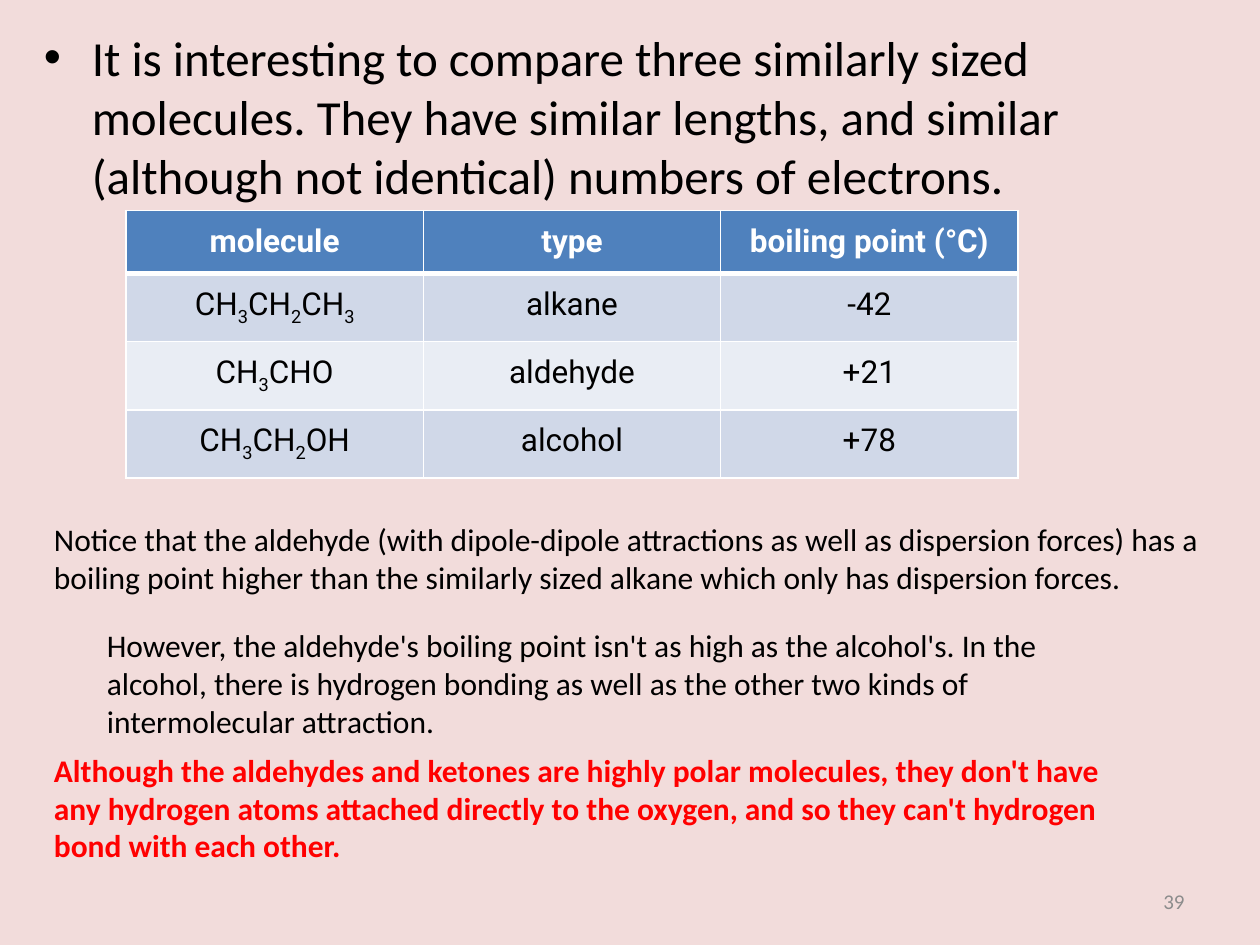
"""Build a slide comparing the boiling points of three similarly sized molecules."""
from dataclasses import dataclass
from itertools import groupby

from pptx import Presentation, util as u
from pptx.dml.color import RGBColor
from pptx.enum import text
from pptx.oxml import parse_xml
from pptx.oxml.ns import nsdecls

BLACK = RGBColor(0x00, 0x00, 0x00)
WHITE = RGBColor(0xFF, 0xFF, 0xFF)
RED = RGBColor(0xFF, 0x00, 0x00)
GREY = RGBColor(0x8C, 0x8C, 0x8C)
PINK = RGBColor(0xF2, 0xDC, 0xDB)
HEADER_BLUE = RGBColor(0x4F, 0x81, 0xBD)
BANDS = (RGBColor(0xE9, 0xED, 0xF4), RGBColor(0xD0, 0xD8, 0xE8))

ROWS = (
    ("molecule", "type", "boiling point (°C)"),
    ("CH3CH2CH3", "alkane", "-42"),
    ("CH3CHO", "aldehyde", "+21"),
    ("CH3CH2OH", "alcohol", "+78"),
)
COLUMN_WIDTH = 2.36
HEADER_HEIGHT = 0.5
ROW_HEIGHT = 0.53


@dataclass(frozen=True)
class Note:
    """A block of text with its place and look."""

    words: str
    left: float
    top: float
    width: float
    height: float
    size: int = 18
    color: RGBColor = BLACK
    bold: bool = False
    bullet: bool = False
    align: text.PP_ALIGN = text.PP_ALIGN.LEFT
    anchor: text.MSO_ANCHOR = text.MSO_ANCHOR.TOP


INTRO = Note(
    "It is interesting to compare three similarly sized molecules. They have similar lengths, "
    "and similar (although not identical) numbers of electrons.",
    0.25, 0.17, 9.25, 6.53, size=28, bullet=True,
)
REMARKS = (
    Note(
        "Notice that the aldehyde (with dipole-dipole attractions as well as dispersion forces) "
        "has a boiling point higher than the similarly sized alkane which only has dispersion forces.",
        0.33, 4.08, 9.42, 0.71,
    ),
    Note(
        "However, the aldehyde's boiling point isn't as high as the alcohol's. In the alcohol, "
        "there is hydrogen bonding as well as the other two kinds of intermolecular attraction.",
        0.75, 4.92, 7.83, 1.01,
    ),
    Note(
        "Although the aldehydes and ketones are highly polar molecules, they don't have any hydrogen "
        "atoms attached directly to the oxygen, and so they can't hydrogen bond with each other.",
        0.33, 5.91, 8.67, 1.01, color=RED, bold=True,
    ),
    Note("39", 7.17, 6.95, 2.33, 0.4, size=12, color=GREY,
         align=text.PP_ALIGN.RIGHT, anchor=text.MSO_ANCHOR.MIDDLE),
)


def style_font(font, name: str, size: int, color: RGBColor, bold: bool) -> None:
    """Set the typeface, size, colour and weight of a font."""
    font.name = name
    font.size = u.Pt(size)
    font.color.rgb = color
    font.bold = bold


def add_bullet(para) -> None:
    """Give a paragraph a round bullet with a hanging indent."""
    properties = para._p.get_or_add_pPr()
    properties.set("marL", str(u.Inches(0.38)))
    properties.set("indent", str(u.Inches(-0.38)))
    properties.append(parse_xml(f'<a:buFont {nsdecls("a")} typeface="Arial"/>'))
    properties.append(parse_xml(f'<a:buChar {nsdecls("a")} char="•"/>'))


def add_note(slide, note: Note) -> None:
    """Place one block of text."""
    box = slide.shapes.add_textbox(
        u.Inches(note.left), u.Inches(note.top), u.Inches(note.width), u.Inches(note.height))
    frame = box.text_frame
    frame.word_wrap = True
    frame.vertical_anchor = note.anchor
    frame.text = note.words
    para = frame.paragraphs[0]
    para.alignment = note.align
    if note.bullet:
        add_bullet(para)
    style_font(para.runs[0].font, "Calibri", note.size, note.color, note.bold)


def add_borders(cell, bottom: int) -> None:
    """Draw white borders around a cell, with the bottom width in points."""
    properties = cell._tc.get_or_add_tcPr()
    for side, width in (("L", 1), ("R", 1), ("T", 1), ("B", bottom)):
        properties.append(parse_xml(
            f'<a:ln{side} {nsdecls("a")} w="{u.Pt(width)}"><a:solidFill>'
            f'<a:srgbClr val="{WHITE}"/></a:solidFill></a:ln{side}>'))


def fill_cell(cell, words: str, header: bool, formula: bool, color: RGBColor) -> None:
    """Write and format a cell, lowering the digits of a formula."""
    add_borders(cell, 3 if header else 1)
    cell.fill.solid()
    cell.fill.fore_color.rgb = color
    cell.margin_left = cell.margin_right = u.Inches(0.1)
    cell.margin_top = cell.margin_bottom = u.Inches(0.1)
    cell.vertical_anchor = text.MSO_ANCHOR.MIDDLE if header else text.MSO_ANCHOR.TOP
    para = cell.text_frame.paragraphs[0]
    para.alignment = text.PP_ALIGN.CENTER
    for lowered, letters in groupby(words, lambda letter: formula and letter.isdigit()):
        span = para.add_run()
        span.text = "".join(letters)
        style_font(span.font, "Roboto", 18, WHITE if header else BLACK, header)
        if lowered:
            span._r.get_or_add_rPr().set("baseline", "-25000")


def add_molecule_table(slide) -> None:
    """Add the table of molecules and boiling points."""
    columns = len(ROWS[0])
    height = HEADER_HEIGHT + ROW_HEIGHT * (len(ROWS) - 1)
    table = slide.shapes.add_table(
        len(ROWS), columns, u.Inches(1), u.Inches(1.67),
        u.Inches(COLUMN_WIDTH * columns), u.Inches(height)).table
    for column in table.columns:
        column.width = u.Inches(COLUMN_WIDTH)
    for row, entries in enumerate(ROWS):
        header = row == 0
        table.rows[row].height = u.Inches(HEADER_HEIGHT if header else ROW_HEIGHT)
        color = HEADER_BLUE if header else BANDS[row % 2]
        for column, words in enumerate(entries):
            fill_cell(table.cell(row, column), words, header, column == 0, color)


def main() -> None:
    """Build and save the deck."""
    deck = Presentation()
    deck.slide_width, deck.slide_height = u.Inches(10), u.Inches(7.5)
    slide = deck.slides.add_slide(deck.slide_layouts[6])
    slide.background.fill.solid()
    slide.background.fill.fore_color.rgb = PINK
    add_note(slide, INTRO)
    add_molecule_table(slide)
    for remark in REMARKS:
        add_note(slide, remark)
    deck.save("out.pptx")


if __name__ == "__main__":
    main()
